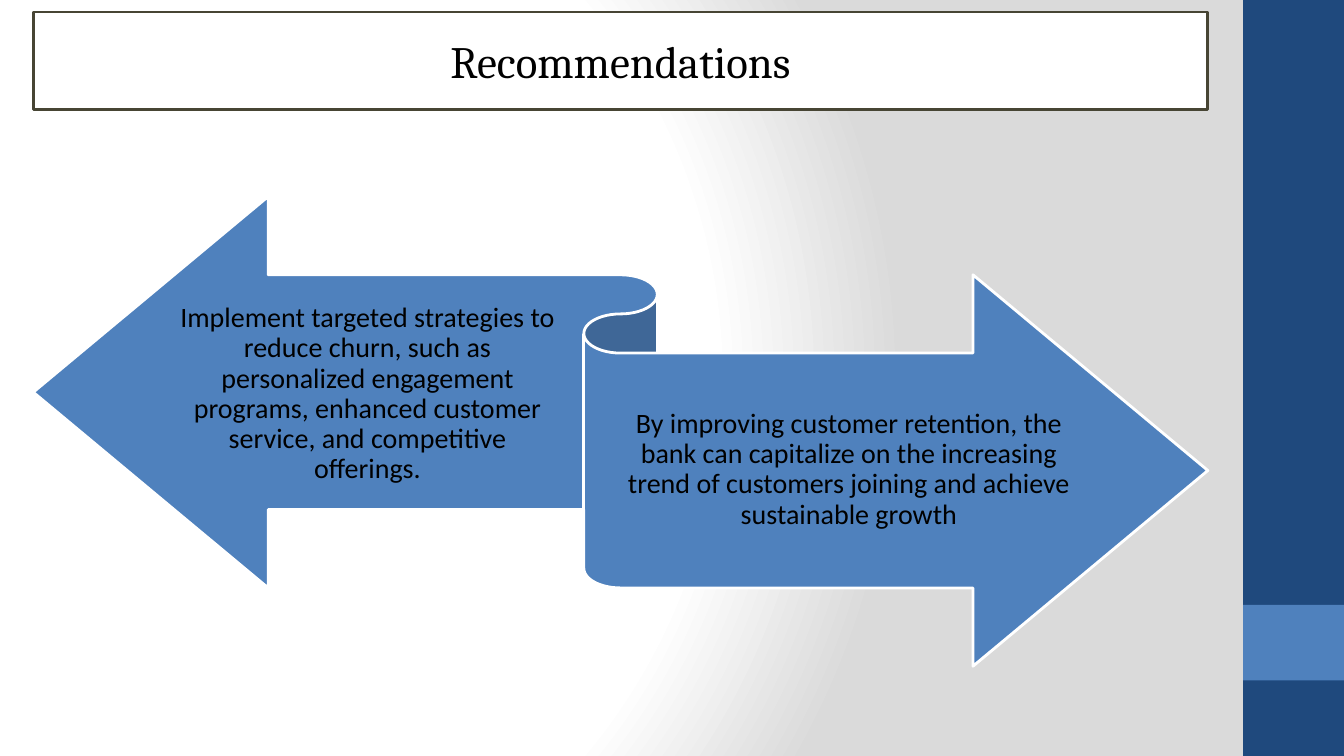
"""Build the Recommendations slide with a two-way ribbon arrow."""
from pptx import Presentation
from pptx.dml.color import RGBColor
from pptx.enum.shapes import MSO_SHAPE
from pptx.enum.text import MSO_ANCHOR, PP_ALIGN
from pptx.oxml import parse_xml
from pptx.oxml.ns import nsdecls, qn
from pptx.util import Inches, Pt

RECTANGLE = MSO_SHAPE.RECTANGLE
RIBBON = MSO_SHAPE.LEFT_RIGHT_RIBBON
MIDDLE = MSO_ANCHOR.MIDDLE
CENTER = PP_ALIGN.CENTER
BLUE = "4F81BD"
WHITE = "FFFFFF"


def add_block(shapes, kind, box, fill, line=None):
    block = shapes.add_shape(kind, *map(Inches, box))
    block.shadow.inherit = False
    block.fill.solid()
    block.fill.fore_color.rgb = RGBColor.from_string(fill)
    if line:
        block.line.color.rgb = RGBColor.from_string(line)
        block.line.width = Pt(2)
    else:
        block.line.fill.background()
    return block


def write_text(frame, text, font, size):
    frame.word_wrap = True
    frame.vertical_anchor = MIDDLE
    paragraph = frame.paragraphs[0]
    paragraph.alignment = CENTER
    run = paragraph.add_run()
    run.text = text
    run.font.name = font
    run.font.size = Pt(size)
    run.font.color.rgb = RGBColor.from_string("000000")
    return paragraph


prs = Presentation()
prs.slide_width = Inches(13.33)
prs.slide_height = Inches(7.5)
slide = prs.slides.add_slide(prs.slide_layouts[6])

slide.background.fill.gradient()
backdrop = slide.element.find(".//" + qn("p:bgPr"))
stops = "".join(
    f'<a:gs pos="{percent * 1000}"><a:srgbClr val="{color}"/></a:gs>'
    for percent, color in [(0, WHITE), (75, WHITE), (100, "DADADA")]
)
backdrop.replace(backdrop.find(qn("a:gradFill")), parse_xml(
    f'<a:gradFill {nsdecls("a")} rotWithShape="1"><a:gsLst>{stops}</a:gsLst>'
    '<a:path path="circle"><a:fillToRect l="20000" t="50000" r="100000" b="50000"/>'
    '</a:path></a:gradFill>'
))

add_block(slide.shapes, RECTANGLE, (12.33, 0, 1, 7.5), "1F497D")
add_block(slide.shapes, RECTANGLE, (12.33, 6, 1, 0.75), BLUE)

title = add_block(slide.shapes, RECTANGLE, (0.33, 0.12, 11.65, 0.97), WHITE, "474534")
write_text(title.text_frame, "Recommendations", "Cambria", 32)

ribbon_group = slide.shapes.add_group_shape()
add_block(ribbon_group.shapes, RIBBON, (0.33, 1.95, 11.65, 4.66), BLUE, WHITE)

recommendations = [
    ((1.72, 2.77, 3.85, 2.28),
     "Implement targeted strategies to reduce churn, such as personalized engagement "
     "programs, enhanced customer service, and competitive offerings."),
    ((6.15, 3.52, 4.54, 2.28),
     "By improving customer retention, the bank can capitalize on the increasing "
     "trend of customers joining and achieve sustainable growth"),
]
for box, advice in recommendations:
    frame = ribbon_group.shapes.add_textbox(*map(Inches, box)).text_frame
    frame.margin_left = frame.margin_right = 0
    frame.margin_top = frame.margin_bottom = Inches(0.08)
    write_text(frame, advice, "Calibri", 20).line_spacing = 0.9

prs.save("out.pptx")
